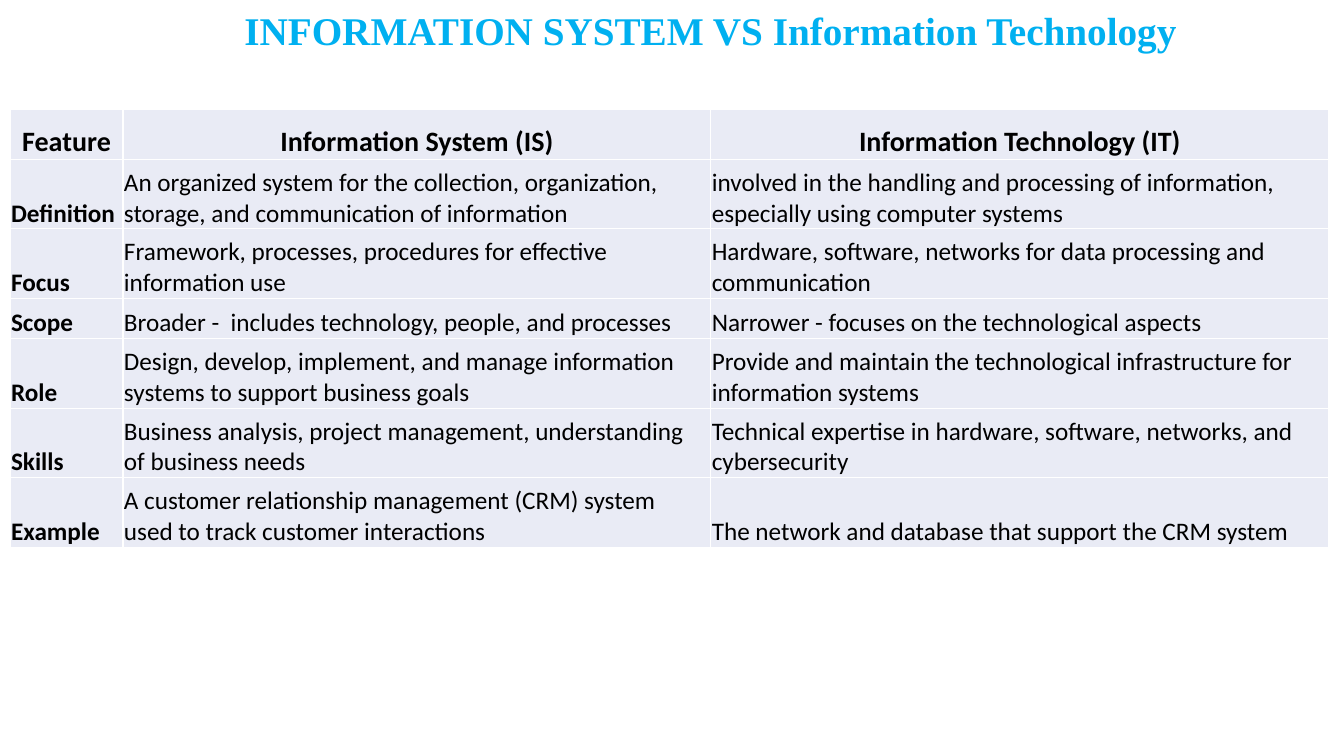
from lxml import etree
from pptx import Presentation, util as u
from pptx.dml.color import RGBColor
from pptx.enum import text
from pptx.oxml import ns

GRID = u.Inches(0.01)
SLIDE_COLS, SLIDE_ROWS = 1333, 750
TITLE_BOX = (171, 0, 1067, 57)
TABLE_BOX = (10, 109, 1308, 434)
COLUMN_WIDTHS = (112, 583, 613)
ONE_LINE, TWO_LINES, HEADER = 40, 69, 49
SKY, BLACK, WHITE, LAVENDER = "00B0F0", "000000", "FFFFFF", "E9EBF5"

TITLE = "INFORMATION SYSTEM VS Information Technology"
ROWS = [
    (HEADER, "Feature", "Information System (IS)", "Information Technology (IT)"),
    (TWO_LINES, "Definition",
     "An organized system for the collection, organization, storage, and communication of information",
     "involved in the handling and processing of information, especially using computer systems"),
    (TWO_LINES, "Focus",
     "Framework, processes, procedures for effective information use",
     "Hardware, software, networks for data processing and communication"),
    (ONE_LINE, "Scope",
     "Broader -  includes technology, people, and processes",
     "Narrower - focuses on the technological aspects"),
    (TWO_LINES, "Role",
     "Design, develop, implement, and manage information systems to support business goals",
     "Provide and maintain the technological infrastructure for information systems"),
    (TWO_LINES, "Skills",
     "Business analysis, project management, understanding of business needs",
     "Technical expertise in hardware, software, networks, and cybersecurity"),
    (TWO_LINES, "Example",
     "A customer relationship management (CRM) system used to track customer interactions",
     "The network and database that support the CRM system"),
]


def color(value):
    return RGBColor.from_string(value)


def apply(target, values):
    for name, value in values.items():
        setattr(target, name, value)


def place(box):
    return [GRID * n for n in box]


def write(p, content, size, font, fill, bold):
    r = p.add_run()
    r.text = content
    apply(r.font, {"size": u.Pt(size), "name": font, "bold": bold})
    r.font.color.rgb = color(fill)


def add_title(s, box):
    sp = s.shapes.title
    apply(sp, dict(zip(("left", "top", "width", "height"), place(box))))
    tf = sp.text_frame
    apply(tf, {"word_wrap": True, "vertical_anchor": text.MSO_ANCHOR.TOP,
               "auto_size": text.MSO_AUTO_SIZE.NONE})
    p = tf.paragraphs[0]
    apply(p, {"alignment": text.PP_ALIGN.CENTER, "line_spacing": 1.03,
              "space_before": u.Pt(0), "space_after": u.Pt(10)})
    write(p, TITLE, 28, "Times New Roman", SKY, True)


def add_borders(cell, fill):
    tc_pr = cell._tc.get_or_add_tcPr()
    for i, side in enumerate(("a:lnL", "a:lnR", "a:lnT", "a:lnB")):
        ln = etree.Element(ns.qn(side), w=str(u.Pt(1)))
        solid = etree.SubElement(ln, ns.qn("a:solidFill"))
        etree.SubElement(solid, ns.qn("a:srgbClr"), val=fill)
        tc_pr.insert(i, ln)


def format_cell(cell, content, is_header, is_label):
    apply(cell, {"margin_left": GRID, "margin_right": GRID, "margin_top": GRID,
                 "margin_bottom": 0, "vertical_anchor": text.MSO_ANCHOR.BOTTOM})
    cell.fill.solid()
    cell.fill.fore_color.rgb = color(LAVENDER)
    add_borders(cell, WHITE)
    p = cell.text_frame.paragraphs[0]
    p.alignment = text.PP_ALIGN.CENTER if is_header else text.PP_ALIGN.LEFT
    write(p, content, 20 if is_header else 18, "Calibri", BLACK, is_header or is_label)


def add_comparison(s, box):
    table = s.shapes.add_table(len(ROWS), len(COLUMN_WIDTHS), *place(box)).table
    table.horz_banding = False
    for column, width in zip(table.columns, COLUMN_WIDTHS):
        column.width = GRID * width
    for i, (height, *contents) in enumerate(ROWS):
        table.rows[i].height = GRID * height
        for j, content in enumerate(contents):
            format_cell(table.cell(i, j), content, i == 0, j == 0)


def main():
    prs = Presentation()
    apply(prs, {"slide_width": GRID * SLIDE_COLS, "slide_height": GRID * SLIDE_ROWS})
    s = prs.slides.add_slide(prs.slide_layouts[5])
    add_title(s, TITLE_BOX)
    add_comparison(s, TABLE_BOX)
    prs.save("out.pptx")


if __name__ == "__main__":
    main()
